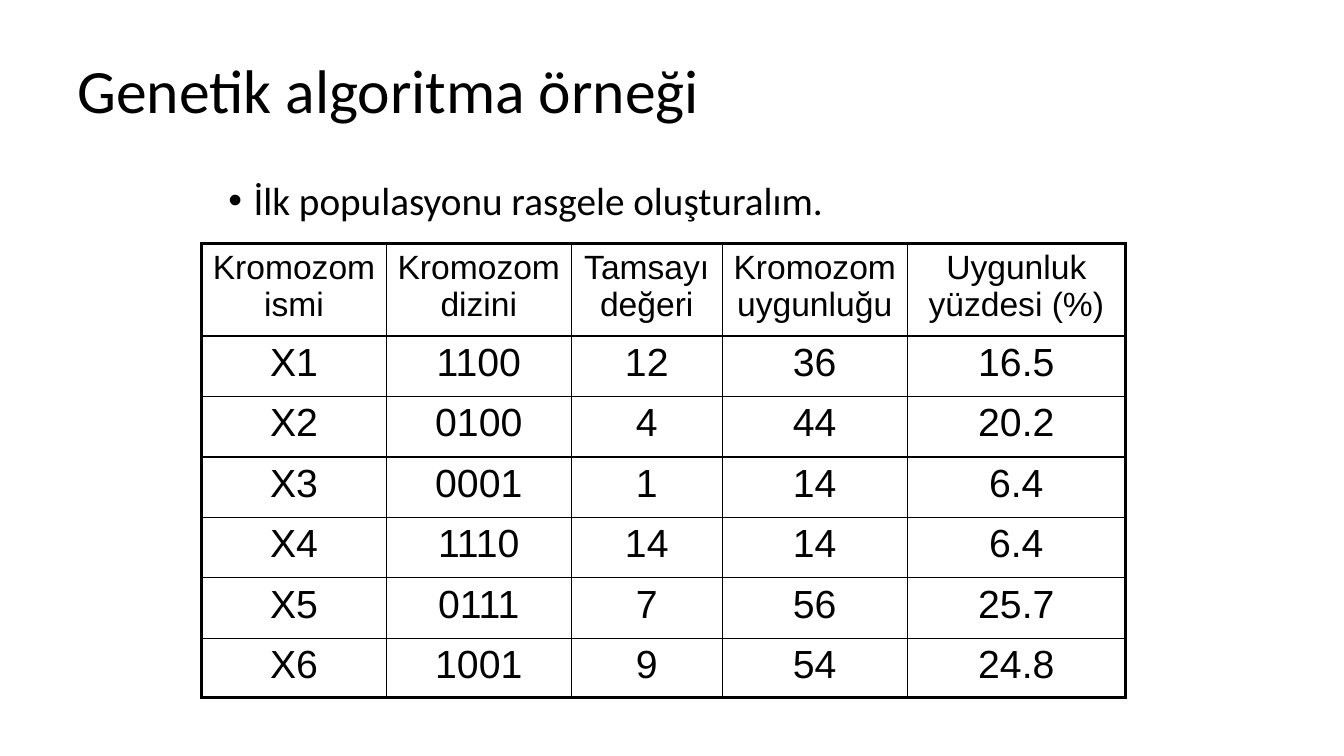
from lxml.etree import SubElement
from pptx import Presentation
from pptx.dml.color import RGBColor
from pptx.enum.text import MSO_ANCHOR, PP_ALIGN
from pptx.oxml import parse_xml
from pptx.oxml.ns import nsdecls, qn
from pptx.util import Inches, Pt

COLORS = {"ink": "000000", "paper": "FFFFFF"}
GRID = Inches(1) / 6
SLIDE_COLUMNS, SLIDE_ROWS = 80, 45
THIN, THICK = 1, 2.25
HEADINGS = ["Kromozom ismi", "Kromozom dizini", "Tamsayı değeri",
            "Kromozom uygunluğu", "Uygunluk yüzdesi (%)"]
POPULATION = [
    ["X1", "1100", "12", "36", "16.5"],
    ["X2", "0100", "4", "44", "20.2"],
    ["X3", "0001", "1", "14", "6.4"],
    ["X4", "1110", "14", "14", "6.4"],
    ["X5", "0111", "7", "56", "25.7"],
    ["X6", "1001", "9", "54", "24.8"],
]
COLUMN_SPANS = [11, 11, 9, 11, 13]
ROW_SPANS = [5.5] + [3.6] * 5 + [3.5]


def units(*spans):
    """Turn grid spans into slide lengths."""
    return [round(span * GRID) for span in spans]


def apply(target, formats):
    """Set each attribute named in formats on target."""
    for attribute, value in formats.items():
        setattr(target, attribute, value)


def write(frame, wording, font, size, **paragraph_formats):
    """Write one formatted paragraph into a text frame."""
    paragraph = frame.paragraphs[0]
    apply(paragraph, paragraph_formats)
    run = paragraph.add_run()
    run.text = wording
    apply(run.font, {"name": font, "size": Pt(size), "bold": False})
    run.font.color.rgb = RGBColor.from_string(COLORS["ink"])
    return paragraph


def add_heading(slide, wording):
    """Place and format the slide title."""
    title = slide.shapes.title
    apply(title, dict(zip(("left", "top", "width", "height"), units(4, 1.8, 72, 7.5))))
    apply(title.text_frame, {"vertical_anchor": MSO_ANCHOR.MIDDLE, "word_wrap": True})
    write(title.text_frame, wording, "Calibri", 44,
          alignment=PP_ALIGN.LEFT, line_spacing=0.9)


def add_bullet(slide, wording):
    """Add the bulleted statement above the table."""
    statement = slide.shapes.add_textbox(*units(13, 10.5, 55.5, 30.5)).text_frame
    statement.word_wrap = True
    paragraph = write(statement, wording, "Calibri", 28,
                      line_spacing=0.9, space_before=Pt(10))
    properties = paragraph._p.get_or_add_pPr()
    properties.set("marL", str(Inches(0.25)))
    properties.set("indent", str(-Inches(0.25)))
    SubElement(properties, qn("a:buFont"), typeface="Arial")
    SubElement(properties, qn("a:buChar"), char="•")


def draw_borders(cell, widths):
    """Draw the left, right, top and bottom borders of a cell."""
    properties = cell._tc.get_or_add_tcPr()
    for place, (side, width) in enumerate(zip("LRTB", widths)):
        properties.insert(place, parse_xml(
            f'<a:ln{side} {nsdecls("a")} w="{Pt(width)}"><a:solidFill>'
            f'<a:srgbClr val="{COLORS["ink"]}"/></a:solidFill></a:ln{side}>'))


def add_population_table(slide, records):
    """Add the chromosome table with a thick outer frame."""
    last_row, last_column = len(records) - 1, len(HEADINGS) - 1
    table = slide.shapes.add_table(
        len(records), len(HEADINGS),
        *units(12, 14.5, sum(COLUMN_SPANS), sum(ROW_SPANS))).table
    apply(table, {"first_row": False, "horz_banding": False})
    for column, width in zip(table.columns, units(*COLUMN_SPANS)):
        column.width = width
    for row, height in zip(table.rows, units(*ROW_SPANS)):
        row.height = height
    for r, record in enumerate(records):
        size = 28 if r else 24
        for c, wording in enumerate(record):
            cell = table.cell(r, c)
            cell.fill.background()
            write(cell.text_frame, wording, "Arial", size,
                  alignment=PP_ALIGN.CENTER, space_before=Pt(size * 0.2))
            outer = (c == 0, c == last_column, r == 0, r == last_row)
            draw_borders(cell, [THICK if edge else THIN for edge in outer])


def main():
    """Build and save the slide."""
    deck = Presentation()
    deck.slide_width, deck.slide_height = units(SLIDE_COLUMNS, SLIDE_ROWS)
    slide = deck.slides.add_slide(deck.slide_layouts[5])
    slide.background.fill.solid()
    slide.background.fill.fore_color.rgb = RGBColor.from_string(COLORS["paper"])
    add_heading(slide, "Genetik algoritma örneği")
    add_bullet(slide, "İlk populasyonu rasgele oluşturalım.")
    add_population_table(slide, [HEADINGS] + POPULATION)
    deck.save("out.pptx")


if __name__ == "__main__":
    main()
